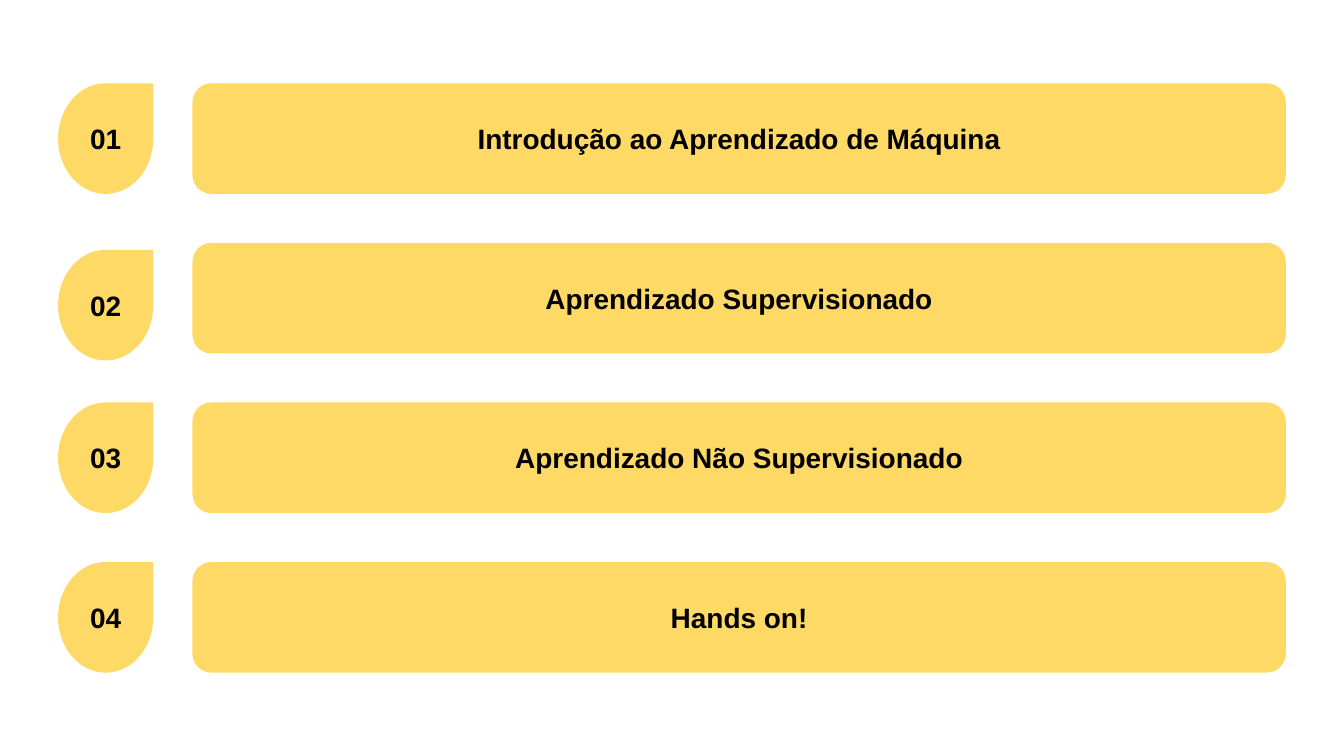
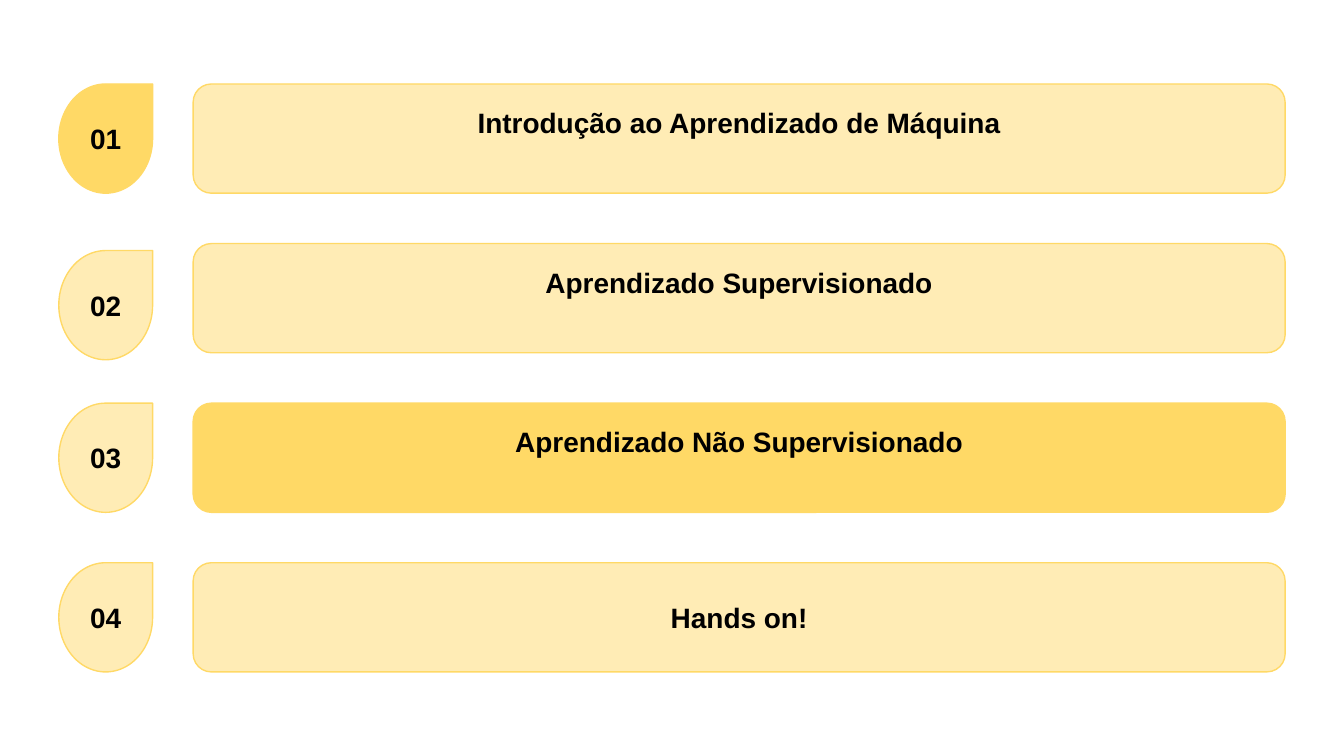
from dataclasses import dataclass

from lxml import etree
from pptx import Presentation
from pptx.dml.color import RGBColor
from pptx.enum.shapes import MSO_SHAPE
from pptx.enum.text import MSO_ANCHOR, PP_ALIGN
from pptx.oxml.ns import qn
from pptx.util import Emu, Pt

ROUND_RECT = MSO_SHAPE.ROUNDED_RECTANGLE
TEARDROP = MSO_SHAPE.TEAR
MIDDLE = MSO_ANCHOR.MIDDLE
CENTER = PP_ALIGN.CENTER

YELLOW = "FFD966"
BLACK = "000000"
FONT = "Arial"
FADED_ALPHA = 48

SLIDE_W, SLIDE_H = 960, 540
FIRST_TOP, ROW_STEP, ROW_H = 60, 114, 78
BAR_LEFT, BAR_W = 138, 780
DROP_LEFT, DROP_W = 42, 67
INSET = 10
RAISE = 23


@dataclass(frozen=True)
class Topic:
    title: str
    drop_shift: int = 0


@dataclass(frozen=True)
class Agenda:
    faded_bars: frozenset[int] = frozenset()
    faded_drops: frozenset[int] = frozenset()
    raised_titles: frozenset[int] = frozenset()


TOPICS = [
    Topic("Introdução ao Aprendizado de Máquina"),
    Topic("Aprendizado Supervisionado", drop_shift=5),
    Topic("Aprendizado Não Supervisionado"),
    Topic("Hands on!"),
]

AGENDAS = [
    Agenda(),
    Agenda(
        faded_bars=frozenset({1, 2, 4}),
        faded_drops=frozenset({2, 3, 4}),
        raised_titles=frozenset({1, 2, 3}),
    ),
]


def px(n: int) -> Emu:
    return Emu(n * 9525)


def rgb(color: str) -> RGBColor:
    return RGBColor.from_string(color)


def add_label(s, kind, left: int, top: int, width: int, text: str,
              faded: bool, raised: bool = False) -> None:
    sp = s.shapes.add_shape(kind, px(left), px(top), px(width), px(ROW_H))
    sp.shadow.inherit = False
    sp.fill.solid()
    sp.fill.fore_color.rgb = rgb(YELLOW)
    sp.line.color.rgb = rgb(YELLOW)
    sp.line.width = Pt(0.75)
    if faded:
        clr = sp.fill._xPr.find(qn("a:solidFill")).find(qn("a:srgbClr"))
        etree.SubElement(clr, qn("a:alpha")).set("val", str(FADED_ALPHA * 1000))

    tf = sp.text_frame
    tf.word_wrap = True
    tf.vertical_anchor = MIDDLE
    tf.margin_left = tf.margin_right = tf.margin_top = px(INSET)
    tf.margin_bottom = px(INSET + RAISE if raised else INSET)
    p = tf.paragraphs[0]
    p.alignment = CENTER
    r = p.add_run()
    r.text = text
    r.font.name = FONT
    r.font.size = Pt(15)
    r.font.bold = True
    r.font.color.rgb = rgb(BLACK)


def add_agenda(prs, agenda: Agenda) -> None:
    s = prs.slides.add_slide(prs.slide_layouts[6])
    for n, topic in enumerate(TOPICS, 1):
        top = FIRST_TOP + (n - 1) * ROW_STEP
        add_label(s, ROUND_RECT, BAR_LEFT, top, BAR_W, topic.title,
                  n in agenda.faded_bars, n in agenda.raised_titles)
        add_label(s, TEARDROP, DROP_LEFT, top + topic.drop_shift, DROP_W,
                  f"{n:02}", n in agenda.faded_drops)


def main() -> None:
    prs = Presentation()
    prs.slide_width, prs.slide_height = px(SLIDE_W), px(SLIDE_H)
    for agenda in AGENDAS:
        add_agenda(prs, agenda)
    prs.save("out.pptx")


if __name__ == "__main__":
    main()
